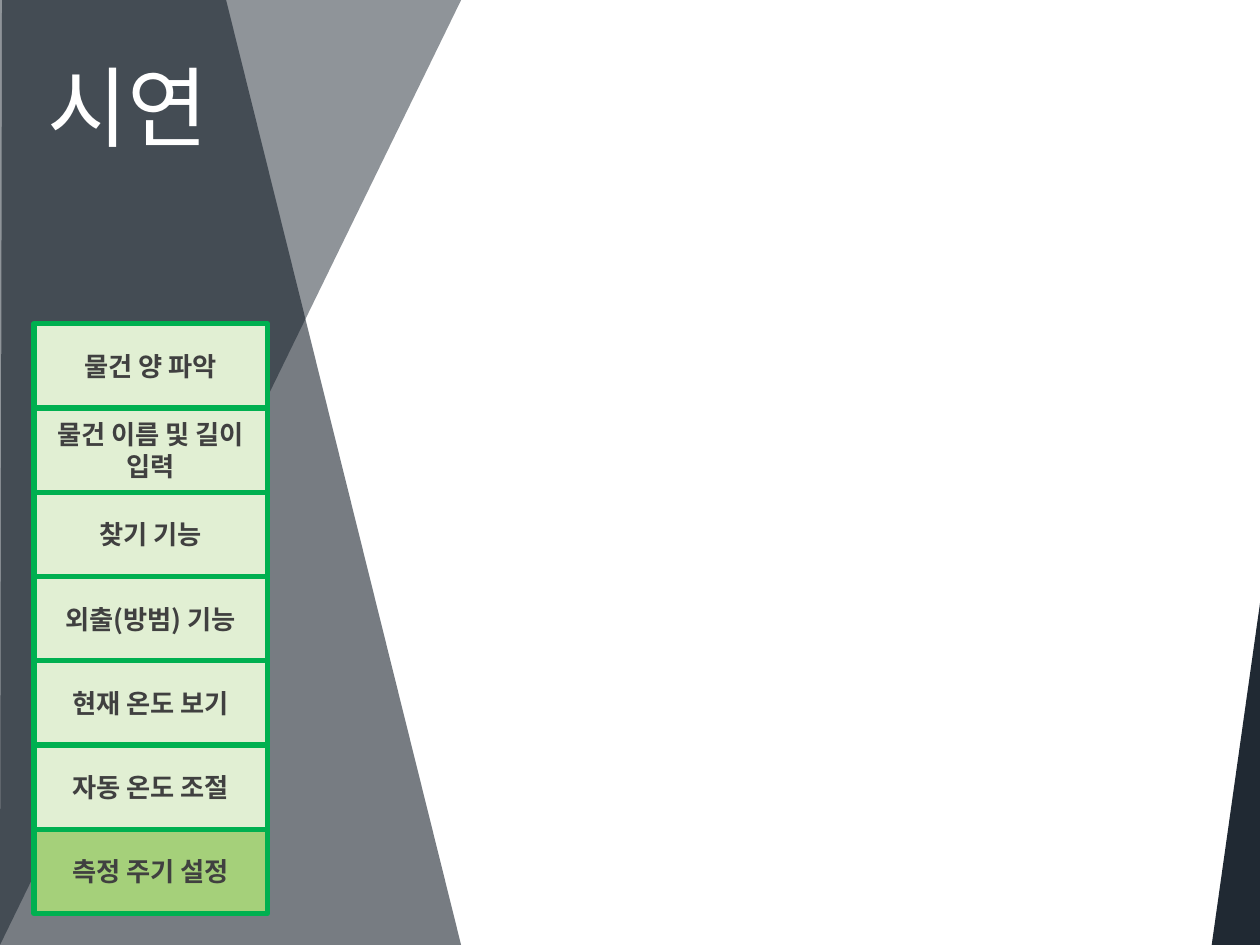
from lxml.etree import SubElement
from pptx import Presentation
from pptx.dml.color import RGBColor
from pptx.enum.shapes import MSO_SHAPE
from pptx.enum.text import MSO_ANCHOR, PP_ALIGN
from pptx.oxml.ns import qn
from pptx.util import Pt

FONT = "Noto Sans CJK KR"
COLORS = {
    "navy": "08121D",
    "title": "FFFFFF",
    "label": "404040",
    "border": "00B050",
    "step": "E1EFD3",
    "current": "A5D07A",
}


def fill_shape(shape, color, opacity=None):
    shape.shadow.inherit = False
    shape.fill.solid()
    shape.fill.fore_color.rgb = RGBColor.from_string(COLORS[color])
    if opacity:
        shape.line.fill.background()
        tint = shape.fill._xPr.find(qn("a:solidFill"))[0]
        SubElement(tint, qn("a:alpha"), val=str(opacity * 1000))


def write_text(box, text, color, formats):
    frame = box.text_frame
    frame.word_wrap = True
    frame.vertical_anchor = MSO_ANCHOR.MIDDLE
    para = frame.paragraphs[0]
    para.text = text
    para.alignment = PP_ALIGN.CENTER
    for span in para.runs:
        for name, value in formats.items():
            setattr(span.font, name, value)
        span.font.color.rgb = RGBColor.from_string(COLORS[color])
        SubElement(span.font._element, qn("a:ea"), typeface=FONT)


deck = Presentation()
deck.slide_width, deck.slide_height = Pt(720), Pt(540)
page = deck.slides.add_slide(deck.slide_layouts[6])

# Left triangle, turned to stand along the edge
left_triangle = page.shapes.add_shape(
    MSO_SHAPE.RIGHT_TRIANGLE, Pt(-138.24), Pt(138.24), Pt(540), Pt(263.52))
left_triangle.rotation = 90
fill_shape(left_triangle, "navy", 45)

# Left slanted panel
corners = [(1.2, -1.2), (0, 540), (263.52, 540), (129, -1)]
points = [(Pt(x), Pt(y)) for x, y in corners]
builder = page.shapes.build_freeform(*points[0], scale=1.0)
builder.add_line_segments(points[1:], close=True)
fill_shape(builder.convert_to_shape(), "navy", 55)

# Bottom right triangle
right_triangle = page.shapes.add_shape(
    MSO_SHAPE.RIGHT_TRIANGLE, Pt(607), Pt(427), Pt(198.72), Pt(28.08))
right_triangle.rotation = 270
fill_shape(right_triangle, "navy", 90)

# Title
title = page.shapes.add_textbox(Pt(2.88), Pt(15.12), Pt(140.4), Pt(90))
write_text(title, "시연", "title", {"size": Pt(50), "name": FONT})

# Stack of demo steps, the last one being current
steps = [
    "물건 양 파악",
    "물건 이름 및 길이\v입력",
    "찾기 기능",
    "외출(방범) 기능",
    "현재 온도 보기",
    "자동 온도 조절",
    "측정 주기 설정",
]
step_top, step_height = 185, 48.15
for index, step in enumerate(steps):
    box = page.shapes.add_shape(
        MSO_SHAPE.RECTANGLE, Pt(19.5), Pt(step_top + index * step_height),
        Pt(133.2), Pt(step_height))
    fill_shape(box, "current" if step == steps[-1] else "step")
    box.line.color.rgb = RGBColor.from_string(COLORS["border"])
    box.line.width = Pt(3)
    write_text(box, step, "label", {"size": Pt(15), "name": FONT, "bold": True})

deck.save("out.pptx")
